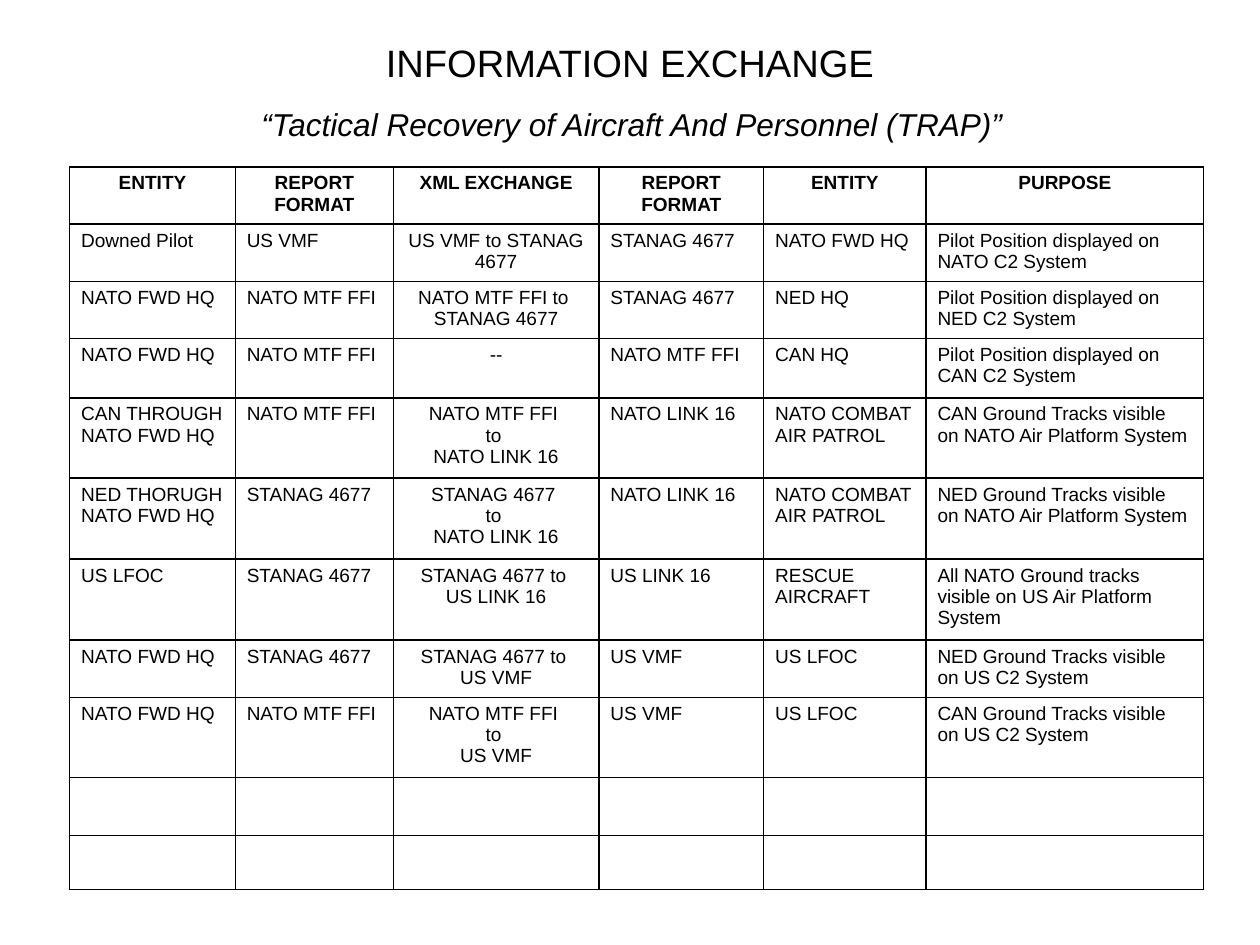
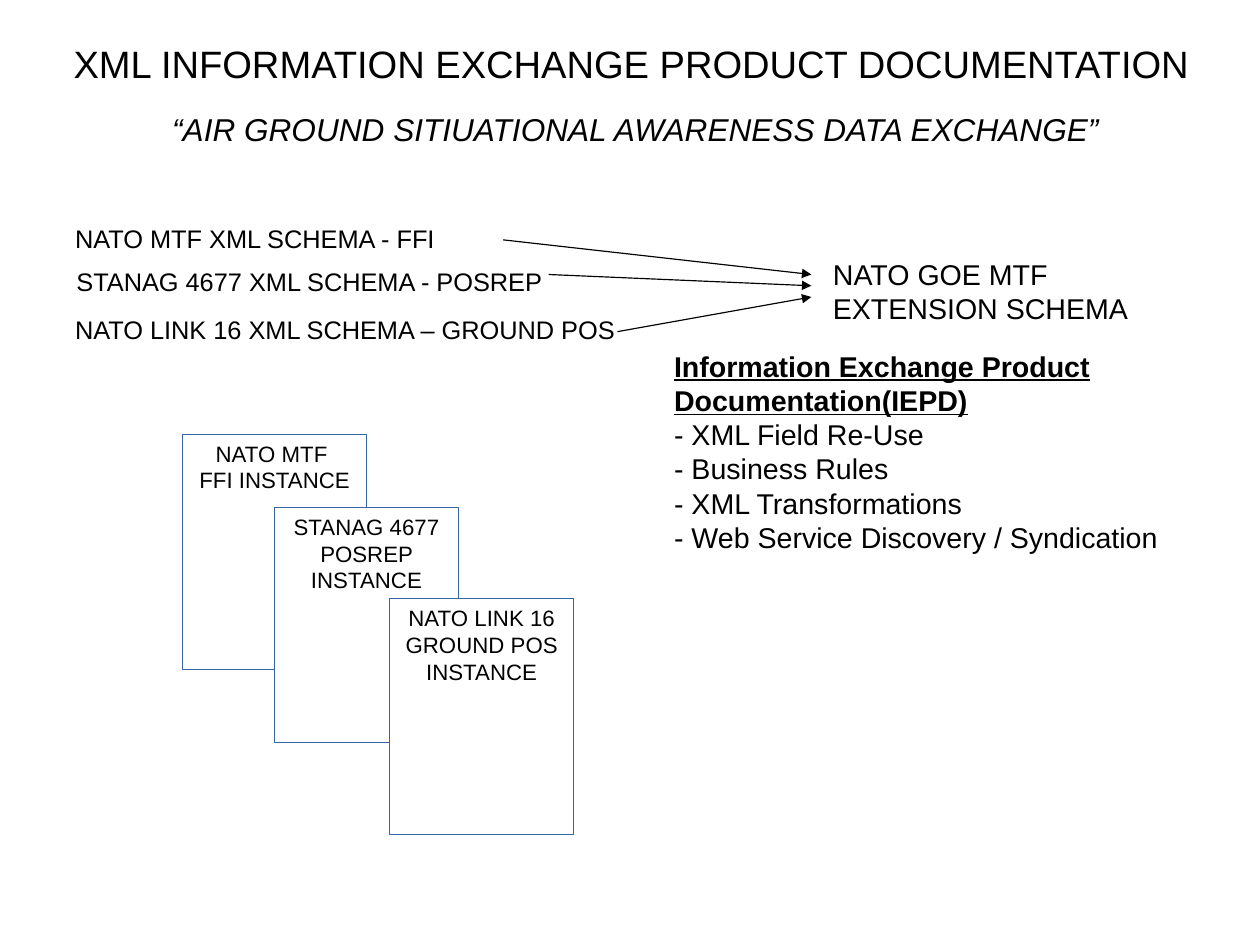
"""Build two slides on NATO information exchange and its XML documentation."""
import lxml.etree
import pptx
import pptx.chart.data
import pptx.dml.color
import pptx.enum.shapes
import pptx.enum.text
import pptx.oxml.ns
import pptx.util

Cm, Pt = pptx.util.Cm, pptx.util.Pt
ALIGN = pptx.enum.text.PP_ALIGN
ANCHOR = pptx.enum.text.MSO_ANCHOR
qn = pptx.oxml.ns.qn

SLIDE_W, SLIDE_H = 28, 21
FONT, BLACK, WHITE, BLUE = "Arial", "000000", "FFFFFF", "3465A4"
TITLE_H = 1.4

TRAP_TITLE = "INFORMATION EXCHANGE"
TRAP_SUBTITLE = "“Tactical Recovery of Aircraft And Personnel (TRAP)”"
TABLE_LEFT, TABLE_TOP = 1.55, 3.71
COL_WIDTHS = [3.68, 3.51, 4.57, 3.66, 3.61, 6.17]
ROW_HEIGHTS = [1.22, 1.22, 1.22, 1.32, 1.68, 1.8, 1.8, 1.27, 1.68, 1.3, 1.19]
CENTERED_COL = 2
EXCHANGES = [
    ("ENTITY", "REPORT FORMAT", "XML EXCHANGE", "REPORT FORMAT", "ENTITY", "PURPOSE"),
    ("Downed Pilot", "US VMF", "US VMF to STANAG 4677", "STANAG 4677",
     "NATO FWD HQ", "Pilot Position displayed on NATO C2 System"),
    ("NATO FWD HQ", "NATO MTF FFI", "NATO MTF FFI to \nSTANAG 4677", "STANAG 4677",
     "NED HQ", "Pilot Position displayed on NED C2 System"),
    ("NATO FWD HQ", "NATO MTF FFI", "--", "NATO MTF FFI",
     "CAN HQ", "Pilot Position displayed on CAN C2 System"),
    ("CAN THROUGH NATO FWD HQ", "NATO MTF FFI", "NATO MTF FFI \nto \nNATO LINK 16",
     "NATO LINK 16", "NATO COMBAT AIR PATROL",
     "CAN Ground Tracks visible on NATO Air Platform System"),
    ("NED THORUGH NATO FWD HQ", "STANAG 4677", "STANAG 4677 \nto \nNATO LINK 16",
     "NATO LINK 16", "NATO COMBAT AIR PATROL",
     "NED Ground Tracks visible on NATO Air Platform System"),
    ("US LFOC", "STANAG 4677", "STANAG 4677 to \nUS LINK 16", "US LINK 16",
     "RESCUE AIRCRAFT", "All NATO Ground tracks visible on US Air Platform System"),
    ("NATO FWD HQ", "STANAG 4677", "STANAG 4677 to \nUS VMF", "US VMF",
     "US LFOC", "NED Ground Tracks visible on US C2 System"),
    ("NATO FWD HQ", "NATO MTF FFI", "NATO MTF FFI \nto \nUS VMF", "US VMF",
     "US LFOC", "CAN Ground Tracks visible on US C2 System"),
]

IEPD_TITLE = "XML INFORMATION EXCHANGE PRODUCT DOCUMENTATION"
IEPD_SUBTITLE = "“AIR GROUND SITIUATIONAL AWARENESS DATA EXCHANGE”"
SCHEMAS = [
    ("NATO MTF XML SCHEMA - FFI", (1.42, 4.83, 9.53, 0.97)),
    ("STANAG 4677 XML SCHEMA - POSREP", (1.45, 5.79, 12.17, 0.97)),
    ("NATO LINK 16 XML SCHEMA – GROUND POS", (1.42, 6.86, 14.02, 0.97)),
]
EXTENSION = ("NATO GOE MTF EXTENSION SCHEMA", (18.26, 5.59, 7.87, 1.78))
ARROW_STARTS = [(11.18, 5.33), (12.19, 6.1), (13.72, 7.37)]
ARROW_END_X, ARROW_END_Y, ARROW_END_STEP = 18.03, 6.1, 0.25
IEPD_BOX = (14.73, 7.62, 12.7, 5.08)
IEPD_HEADING = "Information Exchange Product Documentation(IEPD)"
IEPD_ITEMS = ["XML Field Re-Use", "Business Rules", "XML Transformations",
              "Web Service Discovery / Syndication"]
INSTANCE_W, INSTANCE_H = 4.09, 5.23
INSTANCES = [
    ("NATO MTF \nFFI INSTANCE", 4.06, 9.65),
    ("STANAG 4677 POSREP INSTANCE", 6.1, 11.28),
    ("NATO LINK 16 GROUND POS INSTANCE", 8.66, 13.31),
]


def rgb(color):
    return pptx.dml.color.RGBColor.from_string(color)


def write(tf, text, size, align=ALIGN.LEFT, first=True, **style):
    for i, line in enumerate(text.split("\n")):
        p = tf.paragraphs[0] if first and i == 0 else tf.add_paragraph()
        p.alignment = align
        r = p.add_run()
        r.text = line
        r.font.name, r.font.size = FONT, Pt(size)
        r.font.color.rgb = rgb(BLACK)
        for name, value in style.items():
            setattr(r.font, name, value)


def add_text(s, box, text, size, align=ALIGN.LEFT, anchor=ANCHOR.TOP, **style):
    tf = s.shapes.add_textbox(*map(Cm, box)).text_frame
    tf.word_wrap, tf.vertical_anchor = True, anchor
    write(tf, text, size, align, **style)
    return tf


def add_slide(prs, title, title_at, subtitle, subtitle_at):
    s = prs.slides.add_slide(prs.slide_layouts[6])
    for text, at, size, italic in ((title, title_at, 24, False),
                                   (subtitle, subtitle_at, 19.9, True)):
        add_text(s, (*at, SLIDE_W, TITLE_H), text, size, ALIGN.CENTER,
                 ANCHOR.MIDDLE, italic=italic)
    return s


def set_borders(cell):
    tc_pr = cell._tc.get_or_add_tcPr()
    for i, side in enumerate(("a:lnL", "a:lnR", "a:lnT", "a:lnB")):
        ln = lxml.etree.Element(qn(side), w=str(Pt(1)))
        fill = lxml.etree.SubElement(ln, qn("a:solidFill"))
        lxml.etree.SubElement(fill, qn("a:srgbClr"), val=BLACK)
        tc_pr.insert(i, ln)


def add_exchange_table(s):
    frame = s.shapes.add_table(len(ROW_HEIGHTS), len(COL_WIDTHS), Cm(TABLE_LEFT),
                               Cm(TABLE_TOP), Cm(sum(COL_WIDTHS)), Cm(sum(ROW_HEIGHTS)))
    table = frame.table
    table.first_row = table.horz_banding = False
    for column, width in zip(table.columns, COL_WIDTHS):
        column.width = Cm(width)
    for row, height in zip(table.rows, ROW_HEIGHTS):
        row.height = Cm(height)
    for cell in table.iter_cells():
        cell.fill.solid()
        cell.fill.fore_color.rgb = rgb(WHITE)
        set_borders(cell)
    for i, texts in enumerate(EXCHANGES):
        for j, text in enumerate(texts):
            align = ALIGN.CENTER if i == 0 or j == CENTERED_COL else ALIGN.LEFT
            write(table.cell(i, j).text_frame, text, 12, align, bold=i == 0)


def add_arrow(s, start, end):
    c = s.shapes.add_connector(pptx.enum.shapes.MSO_CONNECTOR.STRAIGHT,
                               *map(Cm, (*start, *end)))
    c.line.color.rgb, c.line.width = rgb(BLACK), Pt(0.75)
    lxml.etree.SubElement(c.line._get_or_add_ln(), qn("a:tailEnd"), type="triangle")
    lxml.etree.SubElement(c._element.spPr, qn("a:effectLst"))


def add_instance(s, text, left, top):
    sp = s.shapes.add_shape(pptx.enum.shapes.MSO_SHAPE.RECTANGLE,
                            *map(Cm, (left, top, INSTANCE_W, INSTANCE_H)))
    sp.shadow.inherit = False
    sp.fill.solid()
    sp.fill.fore_color.rgb = rgb(WHITE)
    sp.line.color.rgb, sp.line.width = rgb(BLUE), Pt(0.75)
    tf = sp.text_frame
    tf.word_wrap, tf.vertical_anchor = True, ANCHOR.TOP
    write(tf, text, 14, ALIGN.CENTER)


def main():
    prs = pptx.Presentation()
    prs.slide_width, prs.slide_height = Cm(SLIDE_W), Cm(SLIDE_H)

    s = add_slide(prs, TRAP_TITLE, (0, 0.69), TRAP_SUBTITLE, (0.05, 2.06))
    add_exchange_table(s)

    s = add_slide(prs, IEPD_TITLE, (0.03, 0.71), IEPD_SUBTITLE, (0.13, 2.16))
    for text, box in SCHEMAS:
        add_text(s, box, text, 16)
    add_text(s, EXTENSION[1], EXTENSION[0], 18)
    for i, start in enumerate(ARROW_STARTS):
        add_arrow(s, start, (ARROW_END_X, ARROW_END_Y + i * ARROW_END_STEP))
    tf = add_text(s, IEPD_BOX, IEPD_HEADING, 18, bold=True, underline=True)
    for item in IEPD_ITEMS:
        write(tf, f"- {item}", 18, first=False)
    for instance in INSTANCES:
        add_instance(s, *instance)

    prs.save("out.pptx")


if __name__ == "__main__":
    main()
